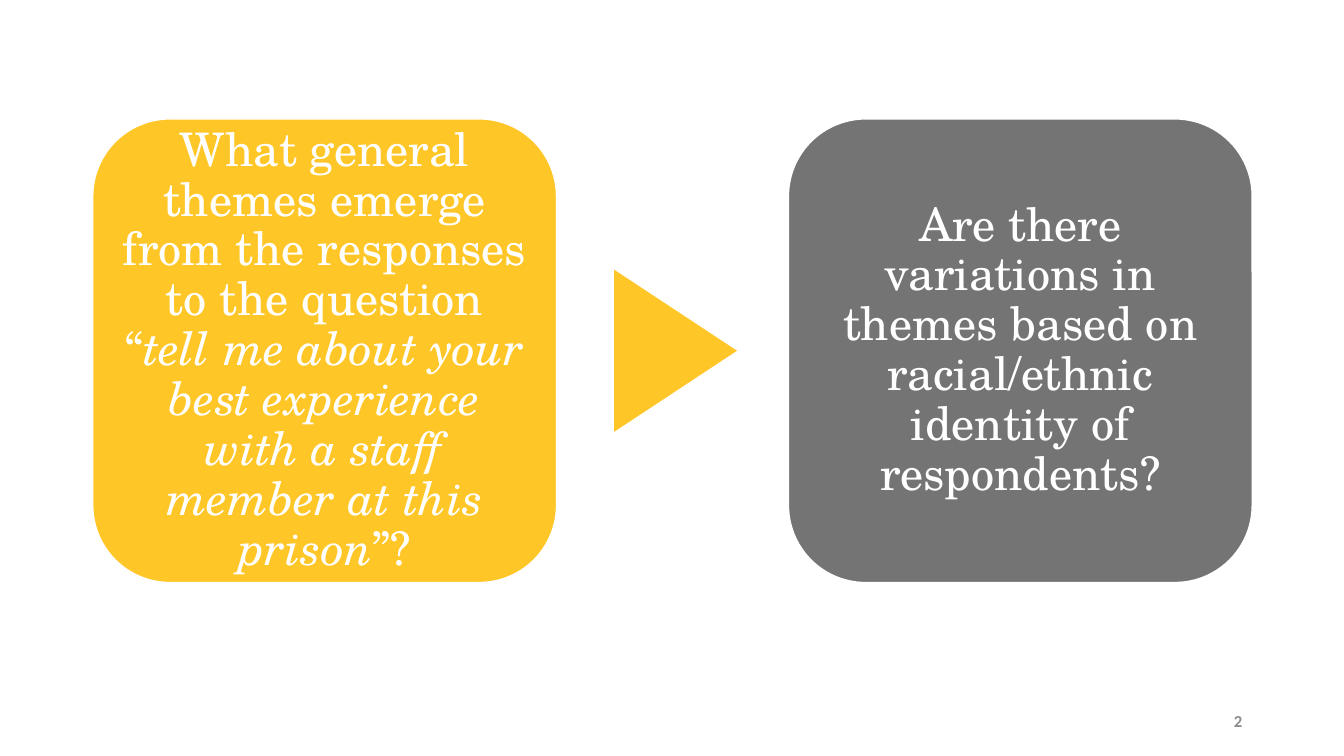
from pptx import Presentation
from pptx.dml.color import RGBColor
from pptx.enum.shapes import MSO_SHAPE
from pptx.enum.text import MSO_ANCHOR, PP_ALIGN
from pptx.util import Inches, Pt

WIDTH, HEIGHT = 13.33, 7.5
CARD_SIZE = 4.6
CARD_TOP = 1.18
CARD_LEFT = 0.92
CARD_STEP = 6.9
GOLD, GRAY, WHITE, PALE_GRAY = "FFC627", "747474", "FFFFFF", "8C8C8C"

# Each card: fill colour and its (text, italic) spans
QUESTIONS = [
    (GOLD, [
        ("What general themes emerge from the responses to the question “", False),
        ("tell me about your best experience with a staff member at this prison", True),
        ("”?", False),
    ]),
    (GRAY, [
        ("Are there variations in themes based on racial/ethnic identity of respondents?", False),
    ]),
]


def color(hex_string):
    return RGBColor.from_string(hex_string)


def style_font(font, name, size, hex_string, bold=False):
    font.name = name
    font.size = Pt(size)
    font.bold = bold
    font.color.rgb = color(hex_string)


def add_filled_shape(page, kind, left, top, width, height, fill):
    shape = page.shapes.add_shape(
        kind, Inches(left), Inches(top), Inches(width), Inches(height))
    shape.shadow.inherit = False
    shape.fill.solid()
    shape.fill.fore_color.rgb = color(fill)
    shape.line.fill.background()
    return shape


def add_question_card(page, left, fill, spans):
    card = add_filled_shape(page, MSO_SHAPE.ROUNDED_RECTANGLE,
                            left, CARD_TOP, CARD_SIZE, CARD_SIZE, fill)
    card.line.color.rgb = color(WHITE)
    card.line.width = Pt(1)

    frame = card.text_frame
    frame.word_wrap = True
    frame.vertical_anchor = MSO_ANCHOR.MIDDLE
    frame.margin_left = frame.margin_right = Inches(0.05)
    frame.margin_top = frame.margin_bottom = Inches(0.05)

    para = frame.paragraphs[0]
    para.alignment = PP_ALIGN.CENTER
    para.line_spacing = 0.9
    style_font(para.font, "TeX Gyre Schola", 33, WHITE)
    for text, italic in spans:
        span = para.add_run()
        span.text = text
        span.font.italic = italic


def add_right_pointer(page, center_x, center_y, base, depth):
    """Add a triangle pointing right, centred on the given point."""
    pointer = add_filled_shape(page, MSO_SHAPE.ISOSCELES_TRIANGLE,
                               center_x - base / 2, center_y - depth / 2,
                               base, depth, GOLD)
    pointer.rotation = 90


def add_page_number(page, number):
    box = page.shapes.add_textbox(Inches(9.42), Inches(6.95), Inches(3), Inches(0.4))
    frame = box.text_frame
    frame.word_wrap = True
    frame.vertical_anchor = MSO_ANCHOR.MIDDLE
    para = frame.paragraphs[0]
    para.text = str(number)
    para.alignment = PP_ALIGN.RIGHT
    para.space_after = Pt(6)
    style_font(para.font, "Calibri", 12, PALE_GRAY, bold=True)


def main():
    deck = Presentation()
    deck.slide_width, deck.slide_height = Inches(WIDTH), Inches(HEIGHT)
    page = deck.slides.add_slide(deck.slide_layouts[6])

    add_page_number(page, 2)
    for column, (fill, spans) in enumerate(QUESTIONS):
        add_question_card(page, CARD_LEFT + column * CARD_STEP, fill, spans)
    add_right_pointer(page, 6.7, CARD_TOP + CARD_SIZE / 2, base=1.61, depth=1.22)

    deck.save("out.pptx")


if __name__ == "__main__":
    main()
